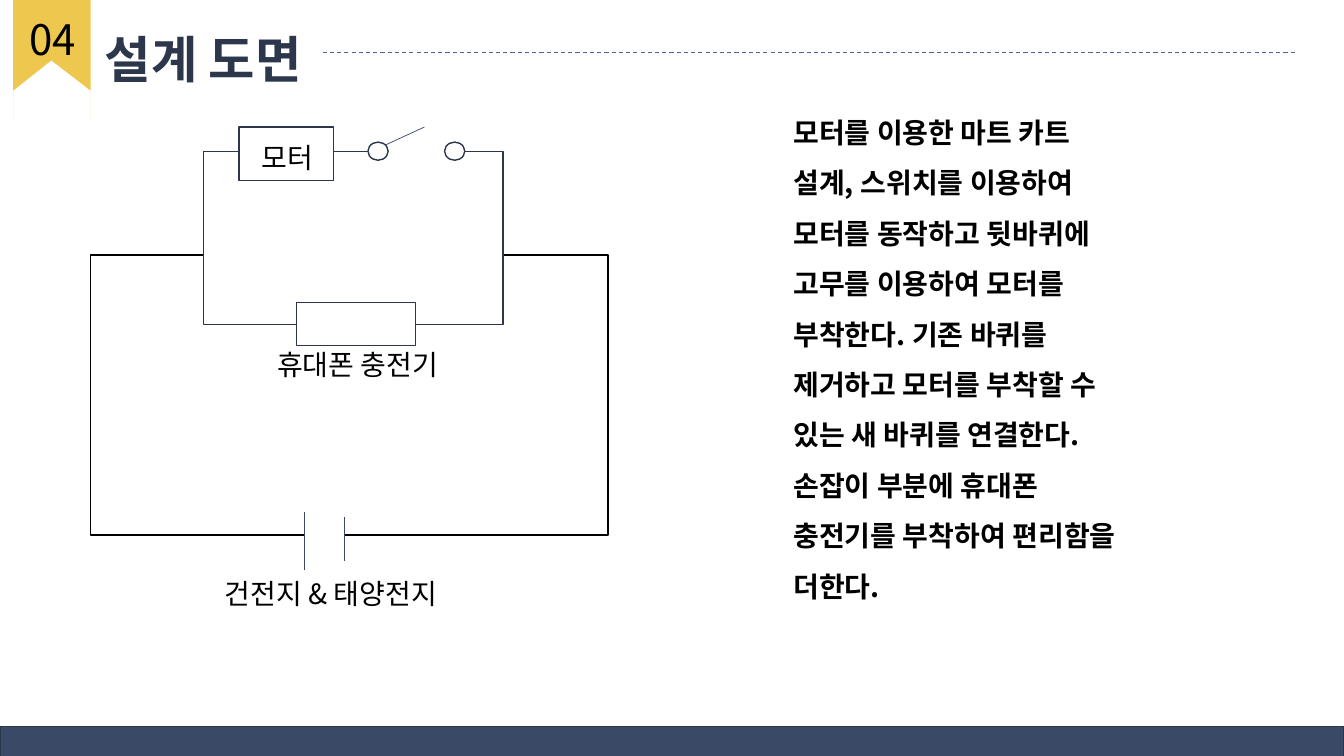
import pptx
import pptx.dml.color
import pptx.enum.dml
import pptx.enum.shapes
import pptx.enum.text
import pptx.oxml.ns
import pptx.util
from lxml import etree

Inches = pptx.util.Inches
SHAPES = pptx.enum.shapes.MSO_SHAPE
ALIGN = pptx.enum.text.PP_ALIGN
ANCHOR = pptx.enum.text.MSO_ANCHOR
FONT = "Noto Sans CJK KR"
NAVY, INK, WHITE, BLACK = "3A4966", "2B364B", "FFFFFF", "000000"

DESCRIPTION = (
    "모터를 이용한 마트 카트 설계, 스위치를 이용하여 모터를 동작하고 "
    "뒷바퀴에 고무를 이용하여 모터를 부착한다. 기존 바퀴를 제거하고 "
    "모터를 부착할 수 있는 새 바퀴를 연결한다. 손잡이 부분에 휴대폰 "
    "충전기를 부착하여 편리함을 더한다."
)


def rgb(code):
    """Turn a hex string into a colour."""
    return pptx.dml.color.RGBColor.from_string(code)


def paint(shape, fill, line=None):
    """Set fill and outline; None leaves either one empty."""
    shape.shadow.inherit = False
    for part, color in ((shape.fill, fill), (shape.line.fill, line)):
        if color:
            part.solid()
            part.fore_color.rgb = rgb(color)
        else:
            part.background()
    if line:
        shape.line.width = pptx.util.Pt(1)


def add_part(slide, box, fill=WHITE, line=INK, kind=SHAPES.RECTANGLE):
    """Add a preset shape at left, top, width, height."""
    paint(slide.shapes.add_shape(kind, *map(Inches, box)), fill, line)


def add_line(slide, start, end, color=NAVY, width=0.5, dash=None):
    """Add a straight line between two points."""
    line = slide.shapes.add_connector(
        pptx.enum.shapes.MSO_CONNECTOR.STRAIGHT, *map(Inches, (*start, *end)))
    line.line.color.rgb = rgb(color)
    for name, value in {"width": pptx.util.Pt(width), "dash_style": dash}.items():
        setattr(line.line, name, value)
    properties = line._element.spPr
    etree.SubElement(properties, pptx.oxml.ns.qn("a:effectLst"))


def add_text(slide, box, text, size=20, color=BLACK, bold=False,
             align=ALIGN.LEFT, anchor=ANCHOR.TOP, spacing=1.0):
    """Add a wrapped text box with one paragraph and no pair kerning."""
    frame = slide.shapes.add_textbox(*map(Inches, box)).text_frame
    paragraph = frame.paragraphs[0]
    run = paragraph.add_run()
    run.text = text
    formats = (
        (frame, {"word_wrap": True, "vertical_anchor": anchor,
                 "auto_size": pptx.enum.text.MSO_AUTO_SIZE.SHAPE_TO_FIT_TEXT}),
        (paragraph, {"alignment": align, "line_spacing": spacing}),
        (run.font, {"name": FONT, "size": pptx.util.Pt(size), "bold": bold}),
    )
    for target, values in formats:
        for name, value in values.items():
            setattr(target, name, value)
    run.font.color.rgb = rgb(color)
    run.font._element.set("kern", "0")
    east_asian = etree.SubElement(run.font._element, pptx.oxml.ns.qn("a:ea"))
    east_asian.set("typeface", FONT)


def add_ribbon(slide):
    """Add the notched ribbon with its two hairline tails."""
    left, right, notch, tail = 0.13, 0.9, 0.9, 1.21
    points = [(left, 0), (right, 0), (right, tail), (right, notch),
              (0.51, 0.6), (left, notch), (left, tail)]
    corners = [(Inches(x), Inches(y)) for x, y in points]
    builder = slide.shapes.build_freeform(*corners[0])
    builder.add_line_segments(corners[1:], close=True)
    paint(builder.convert_to_shape(), "EDC74E")


def add_header(slide):
    """Add the numbered ribbon, the title and the dashed rule."""
    add_ribbon(slide)
    add_text(slide, (0.88, 0.23, 2.21, 0.71), "설계 도면", size=36,
             color="2C374C", bold=True, align=ALIGN.RIGHT)
    add_line(slide, (3.2, 0.52), (12.87, 0.52), "4E6294", 0.75,
             pptx.enum.dml.MSO_LINE.DASH)
    add_text(slide, (0.19, 0.08, 0.84, 0.61), "04", size=30)


def add_circuit(slide):
    """Draw the wiring loops, motor, charger, switch and battery."""
    add_part(slide, (0.9, 2.53, 5.13, 2.78), fill=None, line=BLACK)
    add_part(slide, (2.02, 1.5, 2.97, 1.72))
    motor, charger = (2.37, 1.26, 0.94, 0.53), (2.94, 3, 1.18, 0.43)
    for component in (motor, charger):
        add_part(slide, component)

    switch_gap, battery_gap = (3.83, 1.26, 0.76, 0.53), (3.02, 5.08, 0.4, 0.57)
    for gap in (switch_gap, battery_gap):
        add_part(slide, gap, line=WHITE)
    for contact_left in (3.65, 4.41):
        add_part(slide, (contact_left, 1.41, 0.2, 0.18), kind=SHAPES.OVAL)
    add_line(slide, (3.82, 1.44), (4.21, 1.26))
    for plate, top, bottom in ((3.02, 5.08, 5.65), (3.42, 5.13, 5.57)):
        add_line(slide, (plate, top), (plate, bottom))

    for box, label in (
        ((2.5, 1.34, 0.83, 0.39), "모터"),
        ((2.65, 3.4, 1.88, 0.39), "휴대폰 충전기"),
        ((2.13, 5.67, 2.5, 0.44), "건전지 & 태양전지"),
    ):
        add_text(slide, box, label)


def main():
    """Build and save the slide."""
    deck = pptx.Presentation()
    deck.slide_width, deck.slide_height = Inches(13.33), Inches(7.5)
    slide = deck.slides.add_slide(deck.slide_layouts[6])
    add_header(slide)
    add_part(slide, (0, 7.21, 13.33, 0.3), fill=NAVY)
    add_text(slide, (7.77, 1.18, 3.52, 4.6), DESCRIPTION, bold=True,
             anchor=ANCHOR.MIDDLE, spacing=1.5)
    add_circuit(slide)
    deck.save("out.pptx")


main()
